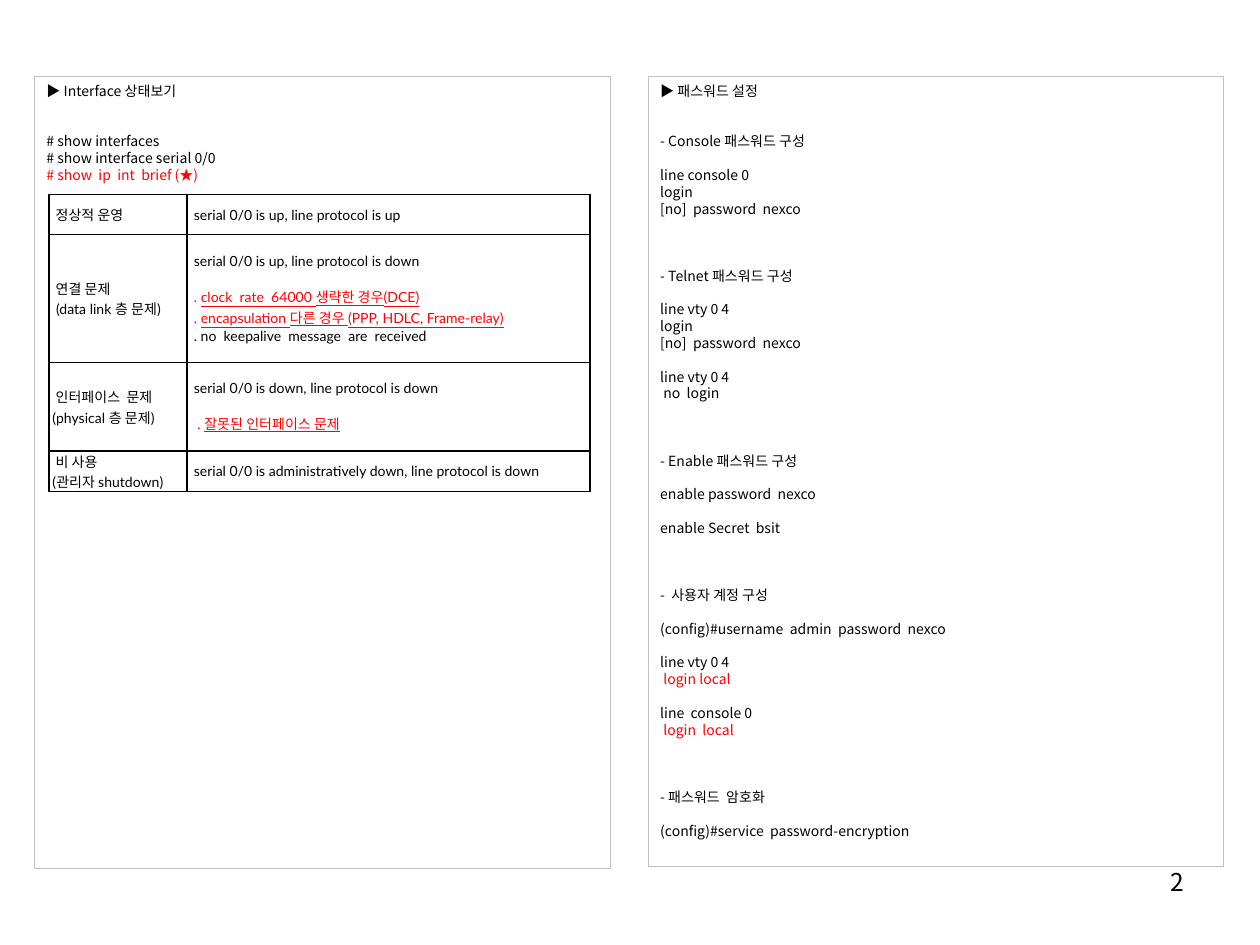
from lxml.etree import SubElement
from pptx import Presentation
from pptx.dml.color import RGBColor
from pptx.enum.shapes import MSO_SHAPE
from pptx.enum.text import MSO_ANCHOR, PP_ALIGN
from pptx.oxml.ns import qn
from pptx.util import Pt

BLACK = RGBColor(0x00, 0x00, 0x00)
RED = RGBColor(0xFF, 0x00, 0x00)
GRAY = RGBColor(0xC0, 0xC0, 0xC0)
WHITE = RGBColor(0xFF, 0xFF, 0xFF)
KOREAN = "Noto Sans CJK KR"
LATIN = "Lato"
LINE = 9.6


def style(r, font, color=BLACK, size=8):
    r.font.name = font
    r.font.size = Pt(size)
    r.font.color.rgb = color
    SubElement(r._r.get_or_add_rPr(), qn("a:ea")).set("typeface", KOREAN)


def border(cell):
    tcPr = cell._tc.get_or_add_tcPr()
    for side in ("a:lnL", "a:lnR", "a:lnT", "a:lnB"):
        ln = SubElement(tcPr, qn(side), w=str(Pt(1)))
        fill = SubElement(ln, qn("a:solidFill"))
        SubElement(fill, qn("a:srgbClr"), val=str(BLACK))


prs = Presentation()
prs.slide_width, prs.slide_height = Pt(720), Pt(540)
s = prs.slides.add_slide(prs.slide_layouts[6])

interface_lines = [
    (0, "▶ Interface 상태보기", BLACK),
    (2, "# show interfaces", BLACK),
    (0, "# show interface serial 0/0", BLACK),
    (0, "# show  ip  int  brief (★)", RED),
]
password_lines = [
    (0, "▶ 패스워드 설정", BLACK),
    (2, "- Console 패스워드 구성", BLACK),
    (1, "line console 0", BLACK),
    (0, "login", BLACK),
    (0, "[no]  password  nexco", BLACK),
    (3, "- Telnet 패스워드 구성", BLACK),
    (1, "line vty 0 4", BLACK),
    (0, "login", BLACK),
    (0, "[no]  password  nexco", BLACK),
    (1, "line vty 0 4", BLACK),
    (0, " no  login", BLACK),
    (3, "- Enable 패스워드 구성", BLACK),
    (1, "enable password  nexco", BLACK),
    (1, "enable Secret  bsit", BLACK),
    (3, "-  사용자 계정 구성", BLACK),
    (1, "(config)#username  admin  password  nexco", BLACK),
    (1, "line vty 0 4", BLACK),
    (0, " login local", RED),
    (1, "line  console 0", BLACK),
    (0, " login  local", RED),
    (3, "- 패스워드  암호화", BLACK),
    (1, "(config)#service  password-encryption", BLACK),
]

for left, height, lines in ((19.5, 452.5, interface_lines), (370.2, 451.5, password_lines)):
    sp = s.shapes.add_shape(MSO_SHAPE.RECTANGLE, Pt(left), Pt(43.5), Pt(329), Pt(height))
    sp.shadow.inherit = False
    sp.fill.background()
    sp.line.color.rgb = GRAY
    sp.line.width = Pt(0.25)
    tf = sp.text_frame
    tf.word_wrap = True
    tf.vertical_anchor = MSO_ANCHOR.TOP
    tf.text = "\n".join(text for _, text, _ in lines)
    for p, (gap, _, color) in zip(tf.paragraphs, lines):
        p.alignment = PP_ALIGN.LEFT
        p.line_spacing = Pt(LINE)
        p.space_before = Pt(gap * LINE)
        style(p.runs[0], KOREAN, color)

sp = s.shapes.add_textbox(Pt(516.2), Pt(491.8), Pt(167.8), Pt(37.4))
tf = sp.text_frame
tf.word_wrap = True
tf.text = "2"
p = tf.paragraphs[0]
p.alignment = PP_ALIGN.RIGHT
style(p.runs[0], KOREAN, size=14)

status_rows = [
    (22.8, [(0, " 정상적 운영")], [(0, "serial 0/0 is up, line protocol is up")]),
    (73.2, [(0, " 연결 문제"), (0, " (data link 층 문제)")], [
        (0, "serial 0/0 is up, line protocol is down"),
        (1, ". ", "clock  rate  64000 생략한 경우(DCE)"),
        (0, ". ", "encapsulation 다른 경우 (PPP, HDLC, Frame-relay)"),
        (0, ". no  keepalive  message  are  received"),
    ]),
    (50.4, [(0, " 인터페이스  문제"), (0, "(physical 층 문제)")], [
        (0, "serial 0/0 is down, line protocol is down"),
        (1, " . ", "잘못된 인터페이스 문제"),
    ]),
    (23.4, [(0, " 비 사용"), (0, "(관리자 shutdown)")],
     [(0, "serial 0/0 is administratively down, line protocol is down")]),
]

table = s.shapes.add_table(4, 2, Pt(28), Pt(111.2), Pt(309.2), Pt(169.8)).table
table.first_row = table.horz_banding = False
table.columns[0].width, table.columns[1].width = Pt(78.8), Pt(230.4)
for i, (height, *cells) in enumerate(status_rows):
    table.rows[i].height = Pt(height)
    for j, lines in enumerate(cells):
        cell = table.cell(i, j)
        border(cell)
        cell.fill.solid()
        cell.fill.fore_color.rgb = WHITE
        cell.vertical_anchor = MSO_ANCHOR.MIDDLE
        cell.margin_left = Pt((2, 4)[j])
        cell.margin_right = cell.margin_top = cell.margin_bottom = 0
        tf = cell.text_frame
        tf.text = "\n".join(line[1] for line in lines)
        for p, (gap, _, *cause) in zip(tf.paragraphs, lines):
            p.space_before = Pt(gap * LINE)
            style(p.runs[0], LATIN, RED if cause else BLACK)
            for text in cause:
                r = p.add_run()
                r.text = text
                style(r, LATIN, RED)
                r.font.underline = True

prs.save("out.pptx")
